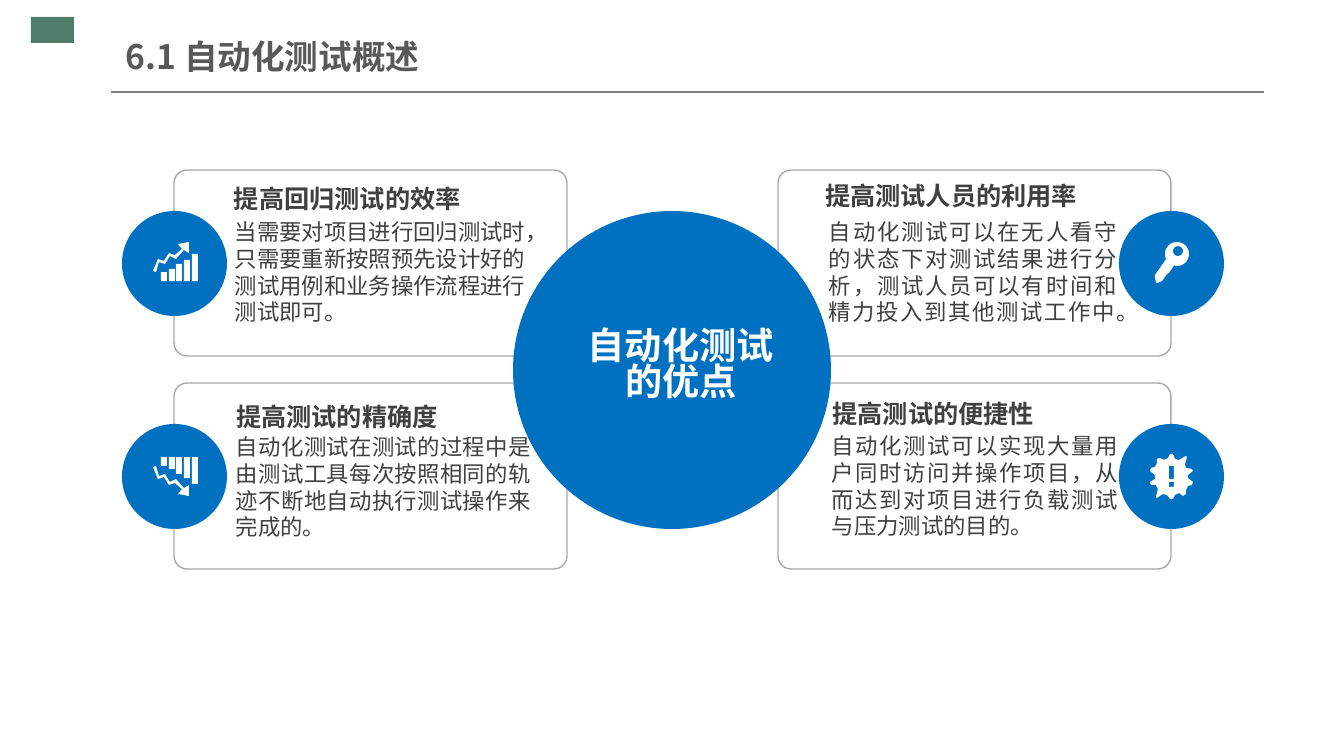
from math import cos, radians, sin

from lxml.etree import SubElement
from pptx import Presentation
from pptx.dml.color import RGBColor
from pptx.enum.shapes import MSO_CONNECTOR as Link, MSO_SHAPE as Kind
from pptx.enum.text import MSO_ANCHOR as Anchor, PP_ALIGN as Align
from pptx.oxml.ns import qn
from pptx.util import Pt

PX = 914400 / 100.8
FONT = "Noto Sans CJK SC"
BLUE, WHITE, DARK = "0070C0", "FFFFFF", "404040"
CARD_W, CARD_H, DISC = 393, 186, 105

ARROW = [(17, 14), (23, 17), (31, 8), (36, 11), (36, 0), (25, 2), (29, 7),
         (22, 13), (16, 11), (11, 19), (5, 17), (0, 29), (3, 30), (6, 20),
         (12, 22)]
BARS = [(8, 9), (16, 12), (23, 17), (31, 21), (39, 27)]
SHAFT = [(14, 31), (12, 32), (7, 39), (5, 40), (2, 41), (1, 40), (0, 36),
         (0, 33)]
BURST = [(43, 29), (38, 25), (38, 22), (43, 18), (42, 16), (36, 15), (35, 12),
         (37, 4), (36, 3), (29, 7), (25, 6), (23, 1), (20, 1), (18, 5),
         (14, 7), (10, 5), (7, 6), (7, 10), (5, 14), (1, 15), (0, 18),
         (5, 22), (5, 26), (0, 29), (1, 32), (6, 32), (8, 36), (6, 44),
         (7, 45), (13, 41), (17, 42), (20, 46), (23, 46), (25, 42), (29, 40),
         (33, 43), (36, 41), (36, 37), (38, 33), (42, 32)]


def emu(n):
    return round(n * PX)


def tint(code):
    return RGBColor.from_string(code)


def draw(slide, kind, x, y, w, h, fill=None, line=None):
    shape = slide.shapes.add_shape(kind, emu(x), emu(y), emu(w), emu(h))
    shape.shadow.inherit = False
    if fill:
        shape.fill.solid()
        shape.fill.fore_color.rgb = tint(fill)
    else:
        shape.fill.background()
    if line:
        shape.line.color.rgb = tint(line)
        shape.line.width = Pt(1)
    else:
        shape.line.fill.background()
    return shape


def write(slide, text, x, y, w, h, size, color, bold=False, align=Align.LEFT,
          anchor=Anchor.MIDDLE, gap=1.0, wrap=True):
    frame = slide.shapes.add_textbox(emu(x), emu(y), emu(w), emu(h)).text_frame
    frame.margin_left = frame.margin_right = 0
    frame.margin_top = frame.margin_bottom = 0
    frame.word_wrap = wrap
    frame.vertical_anchor = anchor
    frame.text = text
    para = frame.paragraphs[0]
    para.alignment = align
    para.line_spacing = gap
    run = para.runs[0]
    run.font.size = Pt(size)
    run.font.bold = bold
    run.font.color.rgb = tint(color)
    run.font.name = FONT
    SubElement(run.font._element, qn("a:ea")).set("typeface", FONT)


def ring(x, y, r, start=0, end=360):
    turns = [radians(start + (end - start) * i / 24) for i in range(25)]
    return [(x + r * cos(t), y + r * sin(t)) for t in turns]


def block(x, y, w, h):
    return [(x, y), (x + w, y), (x + w, y + h), (x, y + h)]


def trace(slide, x, y, loops):
    loops = [[(emu(x + a), emu(y + b)) for a, b in loop] for loop in loops]
    pen = slide.shapes.build_freeform(*loops[0][0])
    for i, loop in enumerate(loops):
        if i:
            pen.move_to(*loop[0])
        pen.add_line_segments(loop[1:], close=True)
    shape = pen.convert_to_shape()
    shape.shadow.inherit = False
    shape.fill.solid()
    shape.fill.fore_color.rgb = tint(WHITE)
    shape.line.fill.background()


def rise():
    return [ARROW] + [block(x, 39 - h, 6, h) for x, h in BARS]


def drop():
    return [[(x, 39 - y) for x, y in loop] for loop in rise()]


def key():
    return [ring(22, 12, 12, 155, 465) + SHAFT, ring(23, 9, 5)]


def alert():
    return [BURST, block(19, 13, 5, 13), block(19, 29, 5, 5)]


CARDS = [
    dict(box=(174, 170), edge=0, icon=(rise, 31, 31),
         head=("提高回归测试的效率", 60, 3, 237), body=(61, 48, 295),
         align=Align.LEFT,
         text="当需要对项目进行回归测试时，只需要重新按照预先设计好的"
              "测试用例和业务操作流程进行测试即可。"),
    dict(box=(174, 383), edge=0, icon=(drop, 31, 33),
         head=("提高测试的精确度", 62, 8, 206), body=(62, 50, 295),
         align=Align.JUSTIFY,
         text="自动化测试在测试的过程中是由测试工具每次按照相同的轨迹"
              "不断地自动执行测试操作来完成的。"),
    dict(box=(778, 170), edge=CARD_W, icon=(key, 36, 31),
         head=("提高测试人员的利用率", 36, 3, 263), body=(51, 48, 288),
         align=Align.JUSTIFY,
         text="自动化测试可以在无人看守的状态下对测试结果进行分析，"
              "测试人员可以有时间和精力投入到其他测试工作中。"),
    dict(box=(778, 383), edge=CARD_W, icon=(alert, 31, 29),
         head=("提高测试的便捷性", 50, 8, 206), body=(54, 49, 286),
         align=Align.JUSTIFY,
         text="自动化测试可以实现大量用户同时访问并操作项目，从而达到"
              "对项目进行负载测试与压力测试的目的。"),
]


def header(slide, x, y, w):
    draw(slide, Kind.RECTANGLE, x, y, 43, 26, "4F7D6A")
    rule = slide.shapes.add_connector(Link.STRAIGHT, emu(x + 80), emu(y + 75),
                                      emu(x + w), emu(y + 75))
    rule.line.color.rgb = tint("808080")
    rule.line.width = Pt(0.75)
    SubElement(rule._element.spPr, qn("a:effectLst"))
    write(slide, "6.1 自动化测试概述", x + 95, y + 12, 429, 55, 24, "595959",
          bold=True)


def panel(slide, x, y):
    shape = draw(slide, Kind.ROUNDED_RECTANGLE, x, y, CARD_W, CARD_H,
                 line="A6AAA9")
    shape.adjustments[0] = 0.07


def fill_card(slide, x, y, card):
    left, top, wide = card["body"]
    write(slide, card["text"], x + left, y + top, wide, 128, 16, DARK,
          align=card["align"], anchor=Anchor.TOP)
    right = card["edge"] > 0
    name, left, top, wide = card["head"]
    write(slide, name, x + left, y + top, wide, 44, 18, DARK, bold=True,
          align=Align.RIGHT if right else Align.LEFT,
          gap=1.0 if right else 1.2)
    x, y = x + card["edge"] - DISC // 2, y + 41
    draw(slide, Kind.OVAL, x, y, DISC, DISC, BLUE)
    shape, left, top = card["icon"]
    trace(slide, x + left, y + top, shape())


def hub(slide, x, y, size):
    draw(slide, Kind.OVAL, x, y, size, size, BLUE)
    write(slide, "自动化测试的优点", x + 74, y + 112, 188, 87, 26.6, WHITE,
          bold=True, align=Align.CENTER, gap=0.82)


def main():
    deck = Presentation()
    deck.slide_width, deck.slide_height = emu(1344), emu(756)
    slide = deck.slides.add_slide(deck.slide_layouts[6])
    header(slide, 31, 17, 1233)
    for card in CARDS:
        panel(slide, *card["box"])
    hub(slide, 513, 211, 318)
    for card in CARDS:
        fill_card(slide, *card["box"], card)
    deck.save("out.pptx")


if __name__ == "__main__":
    main()
